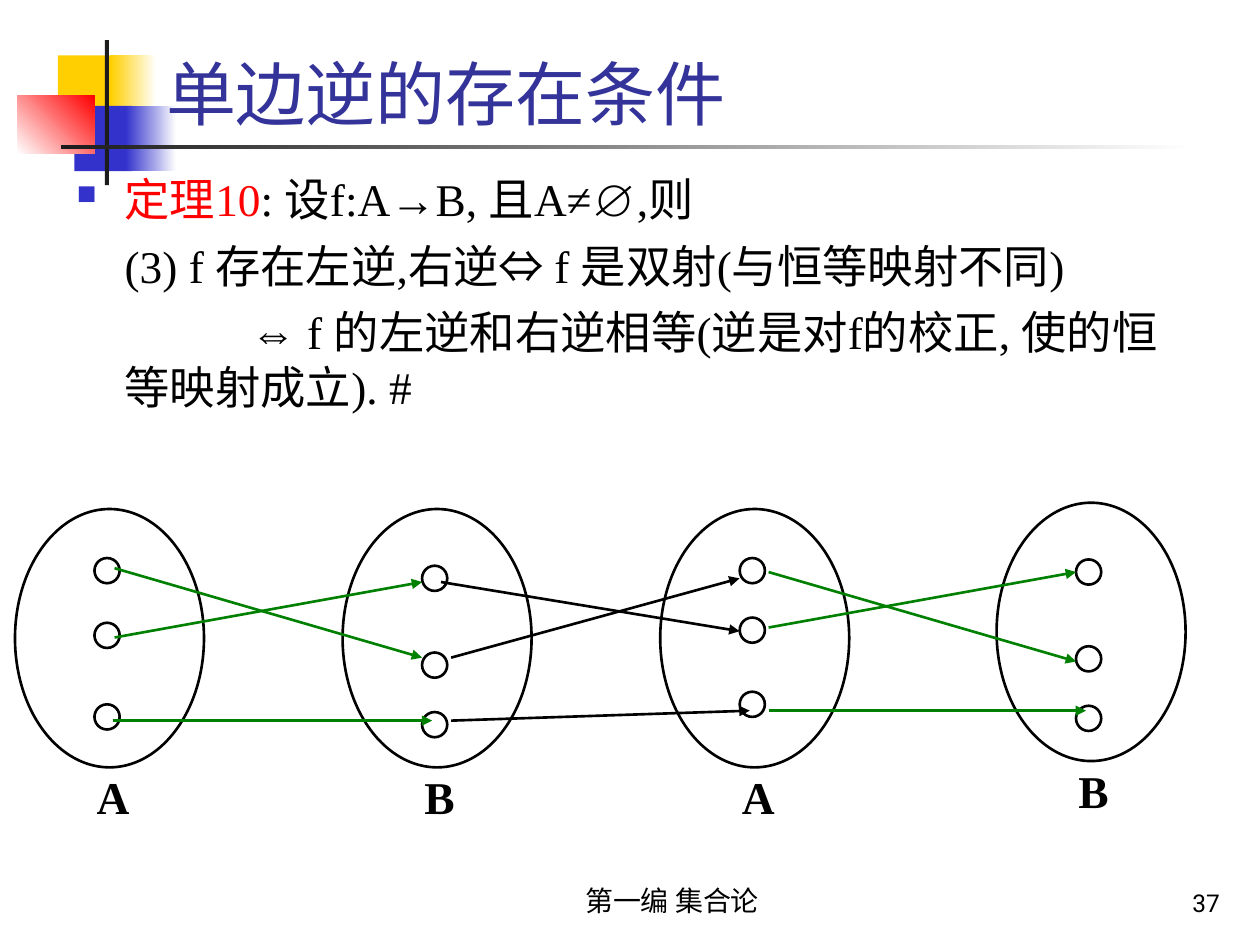
from lxml import etree
from pptx import Presentation
from pptx.dml import color
from pptx.enum import shapes, text
from pptx.oxml import ns
from pptx.util import Pt

SERIF, SANS = "Times New Roman", "Roboto"
BLACK, GREEN, BLUE, RED, YELLOW = "000000", "008000", "3333CC", "FF0000", "FFCF01"
WHITE, DARK = "FFFFFF", "1C1C1C"

# left, top, width, height, colours (two make a gradient), gradient angle
DECORATION = [
    (33.1, 31.7, 34.6, 37.4, [YELLOW], 0),
    (63.4, 31.7, 25.9, 37.4, [YELLOW, WHITE], 0),
    (42.5, 60.5, 33.1, 37.4, [BLUE], 0),
    (72, 60.5, 28.8, 37.4, [BLUE, WHITE], 0),
    (10.1, 54.7, 43.9, 33.1, [WHITE, RED], 45),
    (60, 23, 2.2, 82.8, [DARK], 0),
    (34.6, 82.8, 648, 2.2, [DARK, WHITE], 0),
]

TITLE = "单边逆的存在条件"
FOOTER = "第一编 集合论"
PAGE = "37"
# runs (text, colour), first-line indent, bulleted
BODY = [
    ([("定理10", RED), (": 设f:A→B, 且A≠∅,则", BLACK)], -27.4, True),
    ([("(3) f 存在左逆,右逆⇔ f 是双射(与恒等映射不同)", BLACK)], 0, False),
    ([("⇔ f 的左逆和右逆相等(逆是对f的校正, 使的恒等映射成立). #", BLACK)], 72, False),
]

# label, left, top, element offsets from the top of the set
SETS = [
    ("A", 8.6, 290.9, (28, 65, 111.6)),
    ("B", 195.8, 290.9, (32.4, 82, 116)),
    ("A", 377.3, 290.9, (28, 62, 104.4)),
    ("B", 569.5, 287.3, (32.4, 82, 116)),
]
SET_SIZE = (108, 147.6)
DOT_SIZE = 14.4
DOT_SHIFT = 45.4
LABEL_SHIFT = (39.6, 141.8)

# colour, then x1, y1, x2, y2 of each arrow
MAPPINGS = [
    (GREEN, [(65.5, 324.7, 241.2, 375.8), (65.5, 364.3, 241.2, 332.6),
             (64.8, 411.8, 247, 411.8)]),
    (BLACK, [(257.8, 375.8, 422.6, 330.5), (252, 332.6, 422.6, 360.7),
             (257.8, 411.8, 428.4, 406.1)]),
    (GREEN, [(439.2, 358.6, 614.9, 326.9), (439.2, 326.9, 614.9, 378),
             (439.2, 406.1, 620.6, 406.1)]),
]


def rgb(value):
    return color.RGBColor.from_string(value)


def style_font(font, size, name, colour, bold=False):
    font.size, font.name, font.bold = Pt(size), name, bold
    font.color.rgb = rgb(colour)


def add_block(slide, left, top, width, height, colours, angle):
    shape = slide.shapes.add_shape(shapes.MSO_SHAPE.RECTANGLE, Pt(left), Pt(top), Pt(width), Pt(height))
    shape.shadow.inherit = False
    shape.line.fill.background()
    if len(colours) == 1:
        shape.fill.solid()
        shape.fill.fore_color.rgb = rgb(colours[0])
    else:
        shape.fill.gradient()
        shape.fill.gradient_angle = angle
        for stop, colour in zip(shape.fill.gradient_stops, colours):
            stop.color.rgb = rgb(colour)


def add_ellipse(slide, left, top, width, height):
    shape = slide.shapes.add_shape(shapes.MSO_SHAPE.OVAL, Pt(left), Pt(top), Pt(width), Pt(height))
    shape.shadow.inherit = False
    shape.fill.background()
    shape.line.color.rgb = rgb(BLACK)
    shape.line.width = Pt(1.5)


def add_frame(slide, left, top, width, height, anchor):
    box = slide.shapes.add_textbox(Pt(left), Pt(top), Pt(width), Pt(height))
    box.text_frame.word_wrap = True
    box.text_frame.vertical_anchor = anchor
    return box.text_frame


def add_line_of_text(slide, place, content, size, name=SERIF, colour=BLACK, bold=False,
                     anchor=text.MSO_ANCHOR.BOTTOM, align=text.PP_ALIGN.LEFT, spacing=1.0):
    paragraph = add_frame(slide, *place, anchor).paragraphs[0]
    paragraph.text = content
    paragraph.alignment = align
    paragraph.line_spacing = spacing
    style_font(paragraph.font, size, name, colour, bold)


def add_bullet(paragraph):
    properties = paragraph._p.get_or_add_pPr()
    bullet_colour = etree.SubElement(properties, ns.qn("a:buClr"))
    etree.SubElement(bullet_colour, ns.qn("a:srgbClr"), val=BLUE)
    etree.SubElement(properties, ns.qn("a:buSzPct"), val="60000")
    etree.SubElement(properties, ns.qn("a:buChar"), char="■")


def add_body(slide):
    frame = add_frame(slide, 36.7, 94.3, 657.4, 169.9, text.MSO_ANCHOR.TOP)
    for index, (runs, indent, bulleted) in enumerate(BODY):
        paragraph = frame.add_paragraph() if index else frame.paragraphs[0]
        paragraph.line_spacing = 1.0
        if index:
            paragraph.space_before = Pt(7)
        properties = paragraph._p.get_or_add_pPr()
        properties.set("marL", str(Pt(27.4)))
        properties.set("indent", str(Pt(indent)))
        if bulleted:
            add_bullet(paragraph)
        for content, colour in runs:
            run = paragraph.add_run()
            run.text = content
            style_font(run.font, 25.9, SERIF, colour)


def add_arrow(slide, ends, colour):
    arrow = slide.shapes.add_connector(shapes.MSO_CONNECTOR.STRAIGHT, *map(Pt, ends))
    arrow.line.color.rgb = rgb(colour)
    arrow.line.width = Pt(1.5)
    etree.SubElement(arrow.line._get_or_add_ln(), ns.qn("a:tailEnd"), type="triangle")
    etree.SubElement(arrow._element.spPr, ns.qn("a:effectLst"))


def main():
    presentation = Presentation()
    presentation.slide_width, presentation.slide_height = Pt(720), Pt(540)
    slide = presentation.slides.add_slide(presentation.slide_layouts[6])

    for block in DECORATION:
        add_block(slide, *block)
    add_line_of_text(slide, (554.4, 491.8, 149.8, 36), PAGE, 14, SANS, align=text.PP_ALIGN.RIGHT)
    add_line_of_text(slide, (270, 491.8, 228.2, 36), FOOTER, 16,
                     align=text.PP_ALIGN.CENTER, spacing=1.1)
    add_line_of_text(slide, (87.8, 20.2, 613.4, 60.5), TITLE, 40, colour="333399")
    add_body(slide)

    for label, left, top, offsets in SETS:
        add_ellipse(slide, left, top, *SET_SIZE)
        for offset in offsets:
            add_ellipse(slide, left + DOT_SHIFT, top + offset, DOT_SIZE, DOT_SIZE)
        place = (left + LABEL_SHIFT[0], top + LABEL_SHIFT[1], 73.4, 41.8)
        add_line_of_text(slide, place, label, 26, bold=True,
                         anchor=text.MSO_ANCHOR.TOP, spacing=1.1)
    for colour, arrows in MAPPINGS:
        for ends in arrows:
            add_arrow(slide, ends, colour)

    presentation.save("out.pptx")


if __name__ == "__main__":
    main()
